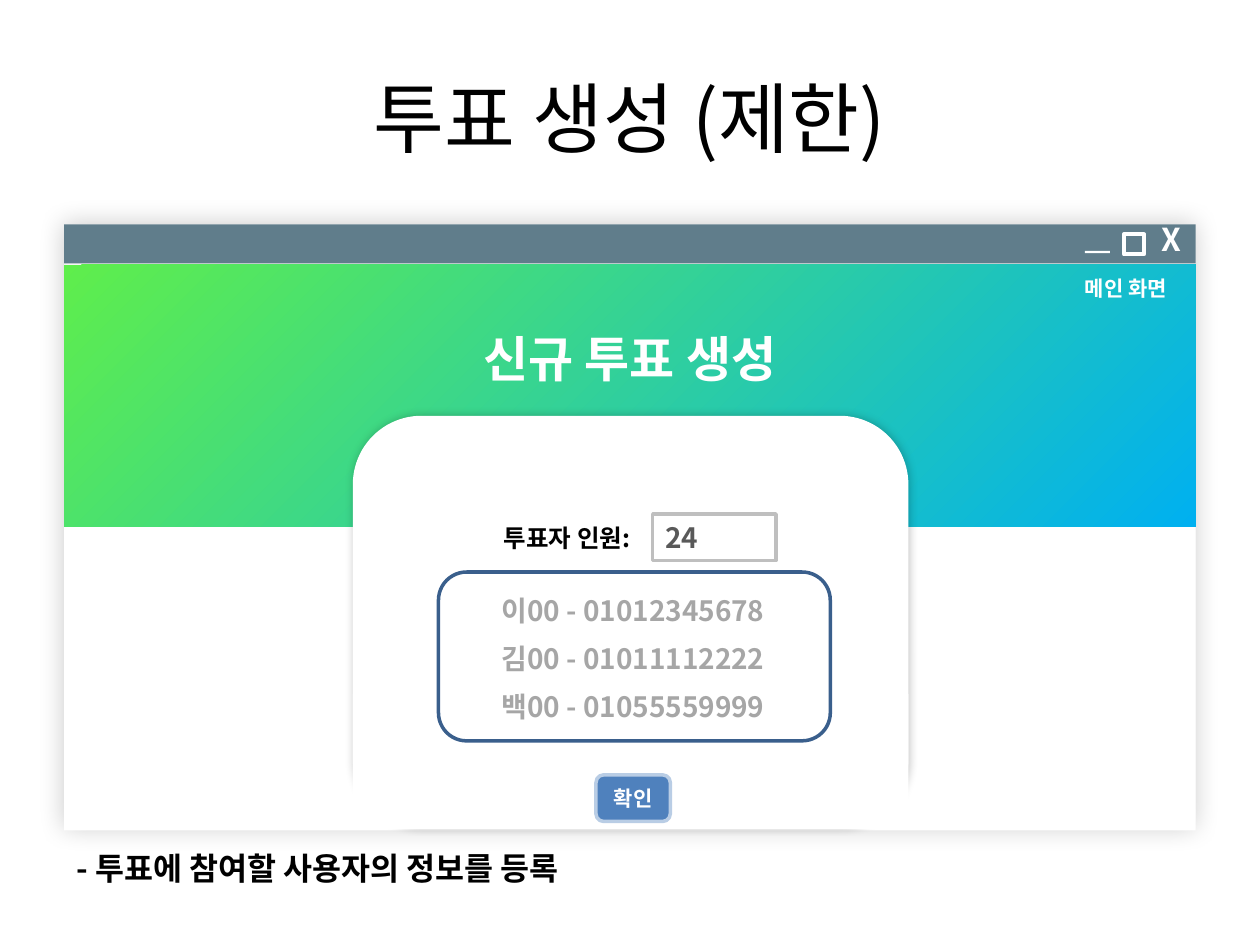
from lxml import etree
from pptx import Presentation
from pptx.dml.color import RGBColor
from pptx.enum.shapes import MSO_SHAPE as Preset
from pptx.enum.text import MSO_ANCHOR as Anchor, MSO_AUTO_SIZE as AutoSize, PP_ALIGN as Align
from pptx.oxml.ns import qn
from pptx.util import Inches, Pt

FONT = "Noto Sans CJK KR"
BLACK = RGBColor(0x00, 0x00, 0x00)
WHITE = RGBColor(0xFF, 0xFF, 0xFF)
WINDOW_GRAY = RGBColor(0xF2, 0xF2, 0xF2)
TITLE_BAR = RGBColor(0x60, 0x7D, 0x8B)
GREEN = RGBColor(0x5F, 0xEE, 0x4C)
SKY = RGBColor(0x00, 0xB0, 0xF0)
BLUE = RGBColor(0x4F, 0x81, 0xBD)
PALE_BLUE = RGBColor(0xB9, 0xCD, 0xE5)
DARK_BLUE = RGBColor(0x3A, 0x5F, 0x8C)
BORDER_GRAY = RGBColor(0xBF, 0xBF, 0xBF)
INPUT_GRAY = RGBColor(0x59, 0x59, 0x59)
ENTRY_GRAY = RGBColor(0xA6, 0xA6, 0xA6)

WINDOW_LEFT, WINDOW_WIDTH = 0.51, 8.98
CARD_LEFT, CARD_WIDTH = 2.8, 4.41
VOTERS = ["이00 - 01012345678", "김00 - 01011112222", "백00 - 01055559999"]


class SlideBuilder:
    def __init__(self, slide, font):
        self.slide = slide
        self.font = font

    def shape(self, preset, left, top, width, height, fill=None, line=None, line_width=2):
        shape = self.slide.shapes.add_shape(
            preset, Inches(left), Inches(top), Inches(width), Inches(height))
        shape.shadow.inherit = False
        if fill is None:
            shape.fill.background()
        else:
            shape.fill.solid()
            shape.fill.fore_color.rgb = fill
        if line is None:
            shape.line.fill.background()
        else:
            shape.line.color.rgb = line
            shape.line.width = Pt(line_width)
        return shape

    def gradient(self, shape, start, end):
        shape.fill.gradient()
        shape.fill.gradient_angle = 315
        for stop, color in zip(shape.fill.gradient_stops, (start, end)):
            stop.color.rgb = color

    def glow_shadow(self, shape, blur):
        effects = shape._element.spPr.find(qn("a:effectLst"))
        shadow = etree.SubElement(effects, qn("a:outerShdw"), blurRad=str(Pt(blur)),
                                  dist="0", dir="0", algn="ctr", rotWithShape="0")
        color = etree.SubElement(shadow, qn("a:srgbClr"), val="000000")
        etree.SubElement(color, qn("a:alpha"), val="20000")

    def label(self, shape, text, size, color, align=Align.LEFT, bold=True):
        shape.text_frame.text = text
        paragraph = shape.text_frame.paragraphs[0]
        paragraph.alignment = align
        run = paragraph.runs[0]
        run.font.name = self.font
        run.font.size = Pt(size)
        run.font.bold = bold
        run.font.color.rgb = color
        etree.SubElement(run.font._element, qn("a:ea"), typeface=self.font)
        return run

    def text_box(self, left, top, width, height):
        box = self.slide.shapes.add_textbox(
            Inches(left), Inches(top), Inches(width), Inches(height))
        box.text_frame.word_wrap = True
        return box

    def text(self, left, top, width, height, text, size, color, align=Align.LEFT):
        box = self.text_box(left, top, width, height)
        box.text_frame.auto_size = AutoSize.SHAPE_TO_FIT_TEXT
        return self.label(box, text, size, color, align)

    def title(self, left, top, width, height, text):
        box = self.text_box(left, top, width, height)
        box.text_frame.vertical_anchor = Anchor.MIDDLE
        self.label(box, text, 44, BLACK, Align.CENTER, bold=False)


def draw_window(builder):
    frame = builder.shape(Preset.RECTANGLE, WINDOW_LEFT, 1.78, WINDOW_WIDTH, 4.8, WINDOW_GRAY)
    builder.glow_shadow(frame, 15)
    builder.shape(Preset.RECTANGLE, WINDOW_LEFT, 1.78, WINDOW_WIDTH, 0.31, TITLE_BAR)
    builder.shape(Preset.RECTANGLE, 8.61, 1.99, 0.2, 0.02, WHITE)
    builder.shape(Preset.RECTANGLE, 8.92, 1.86, 0.16, 0.16, line=WHITE, line_width=2.25)
    close = builder.text(9.12, 1.7, 0.34, 0.4, "x", 18, WHITE)
    close.font._element.set("cap", "all")


def draw_banner(builder):
    builder.shape(Preset.RECTANGLE, WINDOW_LEFT, 2.1, WINDOW_WIDTH, 4.49, WHITE)
    banner = builder.shape(Preset.RECTANGLE, WINDOW_LEFT, 2.1, WINDOW_WIDTH, 2.08, GREEN)
    builder.gradient(banner, GREEN, SKY)
    builder.text(3.15, 2.56, 3.7, 0.57, "신규 투표 생성", 28, WHITE, Align.CENTER)
    builder.text(8.41, 2.14, 1.05, 0.3, "메인 화면", 12, WHITE, Align.CENTER)


def draw_card(builder):
    card = builder.shape(Preset.ROUNDED_RECTANGLE, CARD_LEFT, 3.3, CARD_WIDTH, 3.27, WHITE)
    builder.glow_shadow(card, 5)
    builder.shape(Preset.RECTANGLE, CARD_LEFT, 5.51, CARD_WIDTH, 1.07, WHITE)
    button = builder.shape(Preset.ROUNDED_RECTANGLE, 4.73, 6.15, 0.59, 0.37, BLUE, PALE_BLUE)
    builder.label(button, "확인", 12, WHITE, Align.CENTER)
    builder.shape(Preset.ROUNDED_RECTANGLE, 3.48, 4.54, 3.11, 1.34, line=DARK_BLUE)
    for index, voter in enumerate(VOTERS):
        builder.text(3.8, 4.66 + 0.38 * index, 2.45, 0.37, voter, 16, ENTRY_GRAY, Align.CENTER)
    builder.text(3.9, 4.1, 1.73, 0.34, "투표자 인원:", 14, BLACK)
    count = builder.shape(Preset.RECTANGLE, 5.18, 4.08, 0.98, 0.37, line=BORDER_GRAY)
    builder.label(count, "24", 16, INPUT_GRAY)


def main():
    presentation = Presentation()
    presentation.slide_width = Inches(10)
    presentation.slide_height = Inches(7.5)
    slide = presentation.slides.add_slide(presentation.slide_layouts[6])
    builder = SlideBuilder(slide, FONT)
    draw_window(builder)
    builder.title(0.5, 0.3, 9, 1.25, "투표 생성 (제한)")
    draw_banner(builder)
    draw_card(builder)
    builder.text(WINDOW_LEFT, 6.69, WINDOW_WIDTH, 0.4,
                 "- 투표에 참여할 사용자의 정보를 등록", 18, BLACK)
    presentation.save("out.pptx")


if __name__ == "__main__":
    main()
